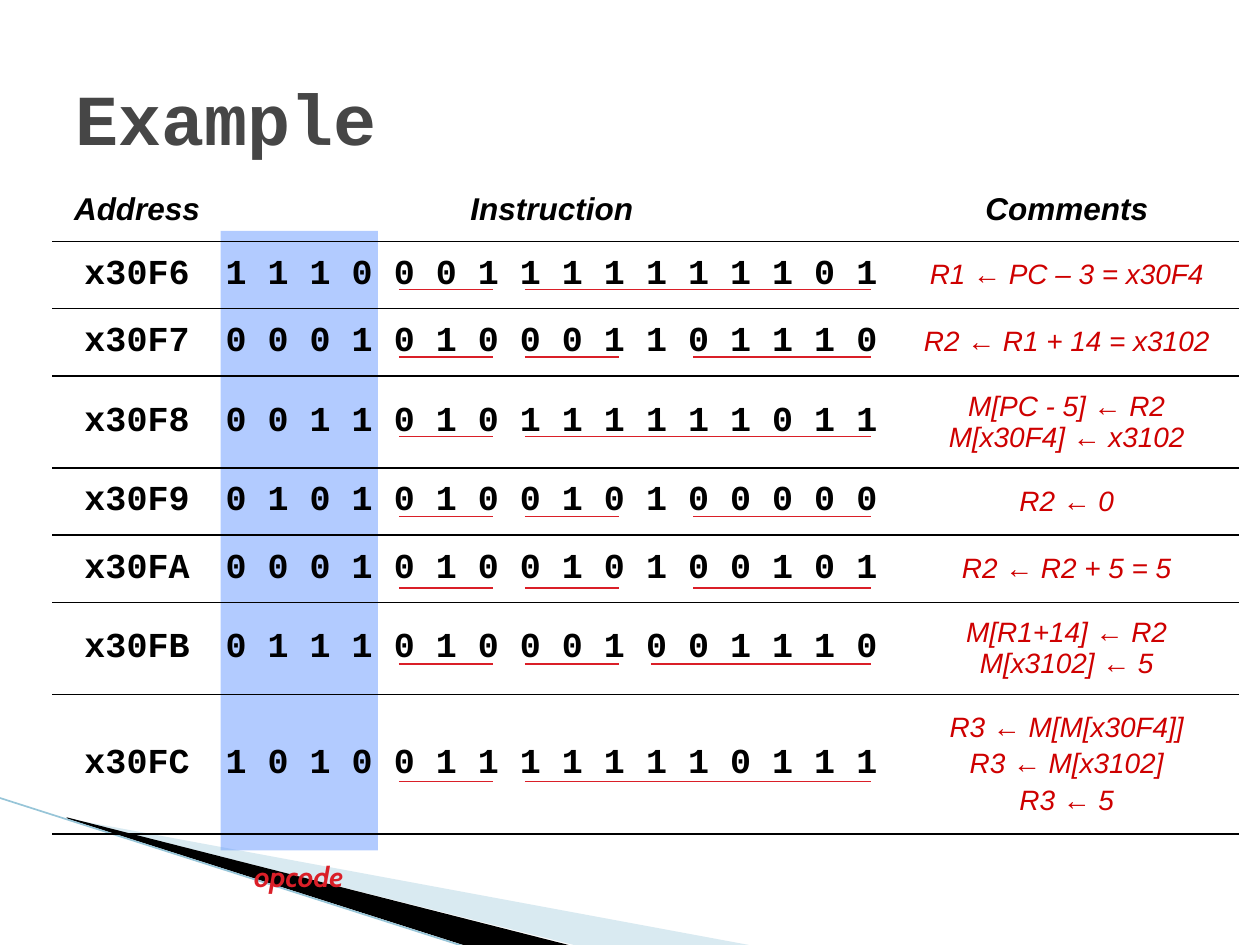
from lxml.etree import SubElement as Sub
from pptx import Presentation
from pptx.dml.color import RGBColor as RGB
from pptx.enum.shapes import MSO_CONNECTOR as CONN, MSO_SHAPE as SHAPE
from pptx.enum.text import MSO_ANCHOR as ANC, MSO_AUTO_SIZE as AUTO, PP_ALIGN as AL
from pptx.oxml.ns import qn
from pptx.util import Pt

HUE = {"title": "464646", "text": "000000", "note": "CE0000", "mark": "DA1F28",
       "band": "6699FF", "pale": "A0CBDC", "edge": "97C5D8"}

# Address, bits, comment, row height, underline height, underlined bit fields
ROWS = [
    ("x30F6", "1110001111111101", "R1 ← PC – 3 = x30F4", 38.4, 165.6, [(4, 6), (7, 15)]),
    ("x30F7", "0001010001101110", "R2 ← R1 + 14 = x3102", 38.4, 204, [(4, 6), (7, 9), (11, 15)]),
    ("x30F8", "0011010111111011", "M[PC - 5] ← R2\vM[x30F4] ← x3102", 52.7, 249.6,
     [(4, 6), (7, 15)]),
    ("x30F9", "0101010010100000", "R2 ← 0", 38.4, 295.2, [(4, 6), (7, 9), (11, 15)]),
    ("x30FA", "0001010010100101", "R2 ← R2 + 5 = 5", 38.4, 336, [(4, 6), (7, 9), (11, 15)]),
    ("x30FB", "0111010001001110", "M[R1+14] ← R2\vM[x3102] ← 5", 52.7, 379.4,
     [(4, 6), (7, 9), (10, 15)]),
    ("x30FC", "1010011111110111", "R3 ← M[M[x30F4]]\nR3 ← M[x3102]\nR3 ← 5", 79.6, 446.4,
     [(4, 6), (7, 15)]),
]

prs = Presentation()
prs.slide_width, prs.slide_height = Pt(720), Pt(540)
slide = prs.slides.add_slide(prs.slide_layouts[5])
shapes = slide.shapes


def style(frame, size, face, hue, bold=True, slant=False, align=AL.CENTER):
    for par in frame.paragraphs:
        par.alignment = align
        for run in par.runs:
            font = run.font
            font.size, font.name, font.bold, font.italic = Pt(size), face, bold, slant
            font.color.rgb = RGB.from_string(HUE[hue])


def rule(x1, y1, x2, y2, hue, width):
    line = shapes.add_connector(CONN.STRAIGHT, Pt(x1), Pt(y1), Pt(x2), Pt(y2))
    line.line.color.rgb = RGB.from_string(HUE[hue])
    line.line.width = Pt(width)
    Sub(line._element.spPr, qn("a:effectLst"))


# Corner sweep and opcode band
pale = [(39.6, 468.4), (428.4, 540.5), (328.3, 540.5), (39.6, 468)]
dark = [(38.2, 467.3), (329, 540.7), (267.8, 541.4), (38.9, 468)]
solids = []
for points, hue, alpha in ((pale, "pale", 40), (dark, "text", 100)):
    path = shapes.build_freeform(*points[0], scale=Pt(1))
    path.add_line_segments(points[1:], close=True)
    solids.append((path.convert_to_shape(), hue, alpha))
rule(-0.7, 455.8, 267.1, 541.4, "edge", 0.95)
band = shapes.add_shape(SHAPE.RECTANGLE, Pt(126), Pt(132), Pt(90), Pt(354))
solids.append((band, "band", 50))
for solid, hue, alpha in solids:
    solid.shadow.inherit = False
    solid.line.fill.background()
    solid.fill.solid()
    solid.fill.fore_color.rgb = RGB.from_string(HUE[hue])
    if alpha < 100:
        color = solid._element.spPr.find(".//" + qn("a:srgbClr"))
        Sub(color, qn("a:alpha"), val=str(alpha * 1000))

# Title
title = shapes.title
title.left, title.top, title.width, title.height = Pt(36), Pt(21.6), Pt(648), Pt(90)
title.text_frame.text = "Example"
title.text_frame.vertical_anchor = ANC.MIDDLE
style(title.text_frame, 41, "Courier New", "title", align=AL.LEFT)

# Program table
heights = [36] + [row[3] for row in ROWS]
table = shapes.add_table(len(heights), 3, Pt(30), Pt(102), Pt(678), Pt(sum(heights))).table
table.first_row = table.horz_banding = False
for col, width in zip(table.columns, (89.5, 384.5, 204)):
    col.width = Pt(width)
for row, height in zip(table.rows, heights):
    row.height = Pt(height)

lines = [("Address", "Instruction", "Comments")]
lines += [(addr, " ".join(bits), note) for addr, bits, note, *_ in ROWS]
for r, line in enumerate(lines):
    for c, text in enumerate(line):
        cell = table.cell(r, c)
        cell.vertical_anchor = ANC.MIDDLE
        cell.margin_left = cell.margin_top = cell.margin_bottom = Pt(7.2)
        cell.margin_right = 0
        props = cell._tc.get_or_add_tcPr()
        for side in ("lnL", "lnR", "lnT", "lnB"):
            edge = Sub(props, qn("a:" + side), w=str(Pt(1)))
            if side == "lnB" or (side == "lnT" and r > 0):
                Sub(Sub(edge, qn("a:solidFill")), qn("a:srgbClr"), val=HUE["text"])
            else:
                Sub(edge, qn("a:noFill"))
        cell.fill.background()
        frame = cell.text_frame
        frame.text = text
        if r == 0:
            size, look = 18, ("Arial", "text", True, True)
        elif c < 2:
            size, look = 20, ("Courier New", "text")
        else:
            size, look = 16, ("Arial", "note", False, True)
        style(frame, size, *look)
        for par in frame.paragraphs:
            par.space_before = Pt(size * 0.2)

# Opcode label
label = shapes.add_textbox(Pt(134), Pt(468.7), Pt(73.4), Pt(30.2)).text_frame
label.word_wrap = False
label.auto_size = AUTO.SHAPE_TO_FIT_TEXT
label.text = "opcode"
style(label, 28, "Cabin", "mark", slant=True)
label.paragraphs[0].runs[0].font._element.set("baseline", "-25000")

# Underlines, with bits 24 points apart
for *_, y, fields in ROWS:
    for first, last in fields:
        rule(132 + 24 * first, y, 138 + 24 * last, y, "mark", 0.75)

prs.save("out.pptx")
